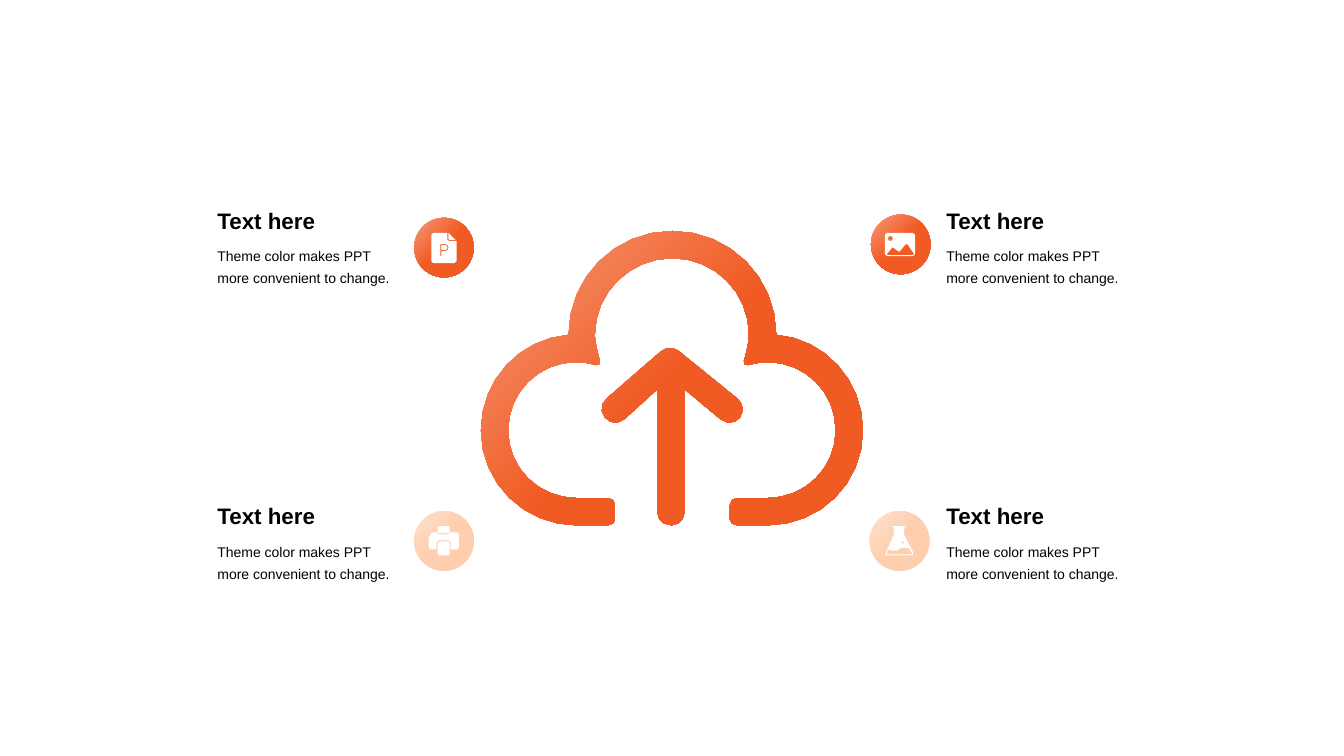
from dataclasses import dataclass
from pptx import Presentation
from pptx.dml.color import RGBColor
from pptx.enum.shapes import MSO_SHAPE
from pptx.enum.text import MSO_ANCHOR, MSO_AUTO_SIZE
from pptx.util import Cm, Pt

ROUND = MSO_SHAPE.ROUNDED_RECTANGLE
TOP, BOTTOM = MSO_ANCHOR.TOP, MSO_ANCHOR.BOTTOM
GROW = MSO_AUTO_SIZE.SHAPE_TO_FIT_TEXT


@dataclass(frozen=True)
class Theme:
    font: str = "Arial"
    ink: str = "000000"
    white: tuple = ("FFFFFF",)
    hot: tuple = ("F69C7B", "F05A23")
    pale: tuple = ("FEE2CF", "FECEAF")
    head: int = 16
    body: int = 10


theme = Theme()
deck = Presentation()
deck.slide_width, deck.slide_height = Cm(33.87), Cm(19.05)
slide = deck.slides.add_slide(deck.slide_layouts[6])
shapes = slide.shapes


def write(text, left, top, high, size, bold=False, anchor=TOP, space=1.0):
    box = shapes.add_textbox(Cm(left), Cm(top), Cm(5.16), Cm(high))
    frame = box.text_frame
    frame.word_wrap = True
    frame.auto_size = GROW
    frame.vertical_anchor = anchor
    frame.margin_left = frame.margin_right = Cm(0.3)
    frame.margin_top = frame.margin_bottom = Cm(0.3)
    para = frame.paragraphs[0]
    para.line_spacing = space
    run = para.add_run()
    run.text = text
    run.font.name = theme.font
    run.font.size = Pt(size)
    run.font.bold = bold
    run.font.color.rgb = RGBColor.from_string(theme.ink)


def draw(left, top, tint, loops=None):
    if loops:
        pen = None
        for loop in loops:
            x, y = loop[0]
            if pen is None:
                pen = shapes.build_freeform(x * 100, y * 100, Cm(2.54) / 10000)
            else:
                pen.move_to(x * 100, y * 100)
            dots = []
            for step in loop[1:]:
                if len(step) == 2:
                    dots.append(step)
                else:
                    a, b, c, d, e, f = step
                    span = max(abs(e - x), abs(f - y))
                    count = 1 if span < 1.4 else min(8, 2 + int(span / 10))
                    for n in range(1, count + 1):
                        t = n / count
                        u = 1 - t
                        w = u ** 3, 3 * u * u * t, 3 * u * t * t, t ** 3
                        dots.append((w[0] * x + w[1] * a + w[2] * c + w[3] * e,
                                     w[0] * y + w[1] * b + w[2] * d + w[3] * f))
                x, y = step[-2:]
            pen.add_line_segments([(p * 100, q * 100) for p, q in dots], close=True)
        form = pen.convert_to_shape(Cm(left), Cm(top))
    else:
        form = shapes.add_shape(ROUND, Cm(left), Cm(top), Cm(1.5), Cm(1.5))
        form.adjustments[0] = 0.5
    form.shadow.inherit = False
    form.line.fill.background()
    if len(tint) == 1:
        form.fill.solid()
        form.fill.fore_color.rgb = RGBColor.from_string(tint[0])
    else:
        form.fill.gradient()
        form.fill.gradient_angle = 315
        for stop, color, place in zip(form.fill.gradient_stops, tint, (0, 0.5)):
            stop.color.rgb = RGBColor.from_string(color)
            stop.position = place


cloud = [
    (247, 286), (247, 272), (247, 268, 250, 265, 254, 265), (284, 265),
    (322, 265, 352, 235, 352, 198), (352, 160, 322, 130, 284, 130),
    (280, 130, 273, 131, 265, 133), (262, 134, 260, 131, 261, 129),
    (264, 118, 266, 109, 266, 103), (266, 61, 232, 27, 190, 27),
    (148, 27, 113, 61, 113, 103), (113, 109, 115, 118, 118, 129),
    (119, 131, 117, 134, 114, 133), (106, 131, 100, 130, 95, 130),
    (57, 130, 27, 160, 27, 198), (27, 235, 57, 265, 95, 265), (126, 265),
    (130, 265, 133, 268, 133, 272), (133, 286), (133, 289, 130, 292, 126, 292),
    (95, 292), (43, 292, 0, 250, 0, 198), (0, 148, 38, 107, 87, 103),
    (87, 46, 133, 0, 190, 0), (247, 0, 293, 46, 293, 103),
    (341, 107, 379, 148, 379, 198), (379, 250, 337, 292, 284, 292),
    (254, 292), (250, 292, 247, 289, 247, 286),
]
arrow = [
    (175, 157), (142, 187), (136, 192, 127, 191, 123, 185),
    (118, 179, 119, 171, 125, 166), (178, 120), (183, 115, 191, 115, 196, 119),
    (254, 166), (260, 170, 262, 179, 257, 185), (253, 191, 244, 192, 238, 187),
    (202, 157), (202, 279), (202, 286, 196, 292, 189, 292),
    (181, 292, 175, 286, 175, 279),
]
page = [
    [(16, 0), (16, 7), (18, 8), (25, 8), (25, 28), (23, 30), (2, 30),
     (0, 28), (0, 2), (2, 0)],
    [(14, 11), (9, 11), (9, 23), (10, 23), (10, 18), (14, 18),
     (16, 18, 17, 16.5, 17, 14.5), (17, 13, 16, 11, 14, 11)],
    [(14, 12), (15, 12, 16, 13, 16, 14.5), (16, 16, 15, 17, 14, 17),
     (10, 17), (10, 12)],
    [(24, 7), (18, 7), (17, 6), (17, 0)],
]
photo = [
    [(28, 0), (30, 2), (30, 21), (28, 23), (2, 23), (0, 21), (0, 2), (2, 0)],
    [(22, 11), (20, 12), (15, 18), (15, 19, 14, 19, 13, 18), (9, 15),
     (8, 14, 7, 14, 7, 15), (2, 21), (2, 22), (28, 22), (29, 21), (23, 12)],
    [(5.5, 3), (4, 3, 3, 4, 3, 5.5), (3, 7, 4, 8, 5.5, 8),
     (7, 8, 8, 7, 8, 5.5), (8, 4, 7, 3, 5.5, 3)],
]
printer = [
    [(20, 15), (21, 17), (21, 28), (20, 29), (11, 29), (9, 28), (9, 17), (11, 15)],
    [(8, 6), (10, 8), (20, 8), (22, 6), (29, 6), (30, 8), (30, 21), (29, 23),
     (22, 23), (22, 16), (20, 14), (10, 14), (8, 16), (8, 23), (2, 23),
     (0, 21), (0, 11), (3, 7), (5, 6)],
    [(20, 0), (21, 1), (21, 6), (20, 7), (11, 7), (9, 6), (9, 1), (11, 0)],
]
flask = [
    [(2, 29), (0, 29, 0, 28, 1, 26), (9, 8), (9, 1), (7, 1), (7, 0), (21, 0),
     (21, 1), (19, 1), (19, 8), (28, 26), (28, 28, 28, 29, 26, 29)],
    [(15, 22), (14, 23), (12, 25, 7, 25, 3, 23), (2, 27), (2, 28), (26, 28),
     (27, 27), (24, 22), (21, 21, 17, 21, 15, 22)],
    [(17.5, 14.5), (16, 16), (17.5, 17.5), (19, 16)],
]

draw(12.12, 5.82, theme.hot, [cloud, arrow])

for left in (5.18, 23.55):
    for top in (4.9, 12.34):
        write("Text here", left, top, 1.3, theme.head, bold=True, anchor=BOTTOM)
        write("Theme color makes PPT more convenient to change.",
              left, top + 0.92, 1.65, theme.body, space=1.3)

for left, top, tint, icon, x, y in (
    (10.44, 5.49, theme.hot, page, 10.87, 5.87),
    (21.95, 5.41, theme.hot, photo, 22.3, 5.87),
    (10.44, 12.88, theme.pale, printer, 10.8, 13.26),
    (21.92, 12.88, theme.pale, flask, 22.3, 13.26),
):
    draw(left, top, tint)
    draw(x, y, theme.white, icon)

deck.save("out.pptx")
